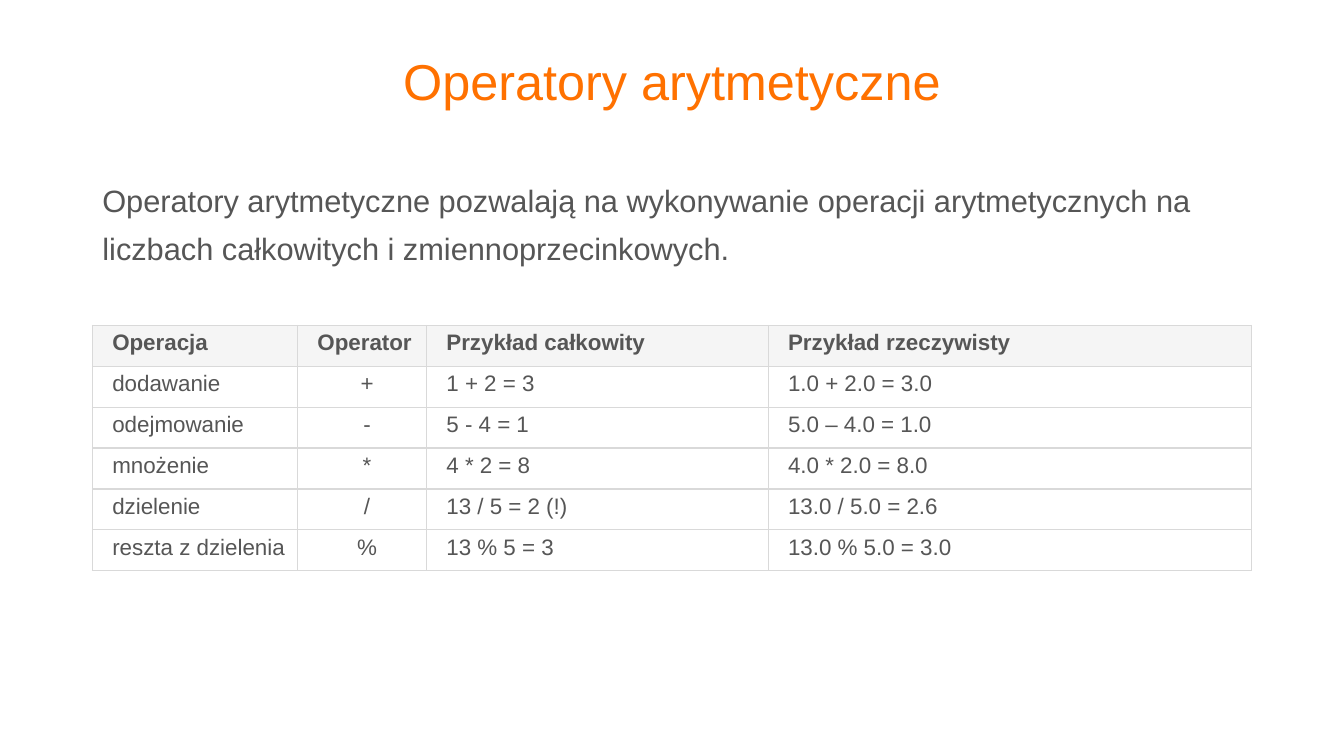
from lxml import etree
from pptx import Presentation
from pptx import util as u
from pptx.dml.color import RGBColor
from pptx.enum import text
from pptx.oxml import ns

ORANGE = RGBColor(0xFF, 0x71, 0x00)
GREY = RGBColor(0x56, 0x56, 0x56)
HEADER_FILL = RGBColor(0xF5, 0xF5, 0xF5)
WHITE = RGBColor(0xFF, 0xFF, 0xFF)
BORDER = RGBColor(0xD9, 0xD9, 0xD9)

LEFT, WIDTH = u.Cm(2.33), u.Cm(29.21)
COLUMN_WIDTHS = [5.17, 3.25, 8.61, 12.18]
ROW_HEIGHT = u.Cm(1.03)
OPERATOR_COLUMN = 1

OPERATIONS = [
    ["Operacja", "Operator", "Przykład całkowity", "Przykład rzeczywisty"],
    ["dodawanie", "+", "1 + 2 = 3", "1.0 + 2.0 = 3.0"],
    ["odejmowanie", "-", "5 - 4 = 1", "5.0 – 4.0 = 1.0"],
    ["mnożenie", "*", "4 * 2 = 8", "4.0 * 2.0 = 8.0"],
    ["dzielenie", "/", "13 / 5 = 2 (!)", "13.0 / 5.0 = 2.6"],
    ["reszta z dzielenia", "%", "13 % 5 = 3", "13.0 % 5.0 = 3.0"],
]


def write(frame, content, size, color=GREY, bold=False, centered=False,
          line_spacing=None, space_before=None):
    paragraph = frame.paragraphs[0]
    paragraph.alignment = text.PP_ALIGN.CENTER if centered else text.PP_ALIGN.LEFT
    paragraph.line_spacing = line_spacing
    paragraph.space_before = space_before
    run = paragraph.add_run()
    run.text = content
    run.font.name = "Arial"
    run.font.size = u.Pt(size)
    run.font.bold = bold
    run.font.color.rgb = color


def add_text(slide, top, height, content, anchor=text.MSO_ANCHOR.TOP, **text_format):
    frame = slide.shapes.add_textbox(LEFT, top, WIDTH, height).text_frame
    frame.word_wrap = True
    frame.vertical_anchor = anchor
    write(frame, content, **text_format)


def add_borders(cell):
    properties = cell._tc.get_or_add_tcPr()
    for side in ("a:lnL", "a:lnR", "a:lnT", "a:lnB"):
        line = etree.SubElement(properties, ns.qn(side), w=str(u.Pt(1)))
        fill = etree.SubElement(line, ns.qn("a:solidFill"))
        etree.SubElement(fill, ns.qn("a:srgbClr"), val=str(BORDER))


def add_operations_table(slide, top):
    table = slide.shapes.add_table(
        len(OPERATIONS), len(COLUMN_WIDTHS), LEFT, top, WIDTH,
        ROW_HEIGHT * len(OPERATIONS)).table
    for column, width in zip(table.columns, COLUMN_WIDTHS):
        column.width = u.Cm(width)
    for r, operation in enumerate(OPERATIONS):
        table.rows[r].height = ROW_HEIGHT
        is_header = r == 0
        for c, content in enumerate(operation):
            cell = table.cell(r, c)
            cell.margin_left, cell.margin_right = u.Cm(0.5), u.Cm(0.25)
            cell.margin_top = cell.margin_bottom = u.Cm(0.13)
            add_borders(cell)
            cell.fill.solid()
            cell.fill.fore_color.rgb = HEADER_FILL if is_header else WHITE
            write(cell.text_frame, content, size=16, bold=is_header,
                  centered=c == OPERATOR_COLUMN and not is_header)


def main():
    deck = Presentation()
    deck.slide_width, deck.slide_height = u.Cm(33.87), u.Cm(19.05)
    slide = deck.slides.add_slide(deck.slide_layouts[6])

    # Title
    add_text(slide, u.Cm(1.02), u.Cm(2.21), "Operatory arytmetyczne",
             anchor=text.MSO_ANCHOR.MIDDLE, size=36, color=ORANGE,
             centered=True, line_spacing=0.9)

    # Introduction
    add_text(slide, u.Cm(4.17), u.Cm(3.28),
             "Operatory arytmetyczne pozwalają na wykonywanie operacji "
             "arytmetycznych na liczbach całkowitych i zmiennoprzecinkowych.",
             size=22, line_spacing=1.3, space_before=u.Pt(10))

    # Operators with examples
    add_operations_table(slide, u.Cm(8.2))

    deck.save("out.pptx")


if __name__ == "__main__":
    main()
